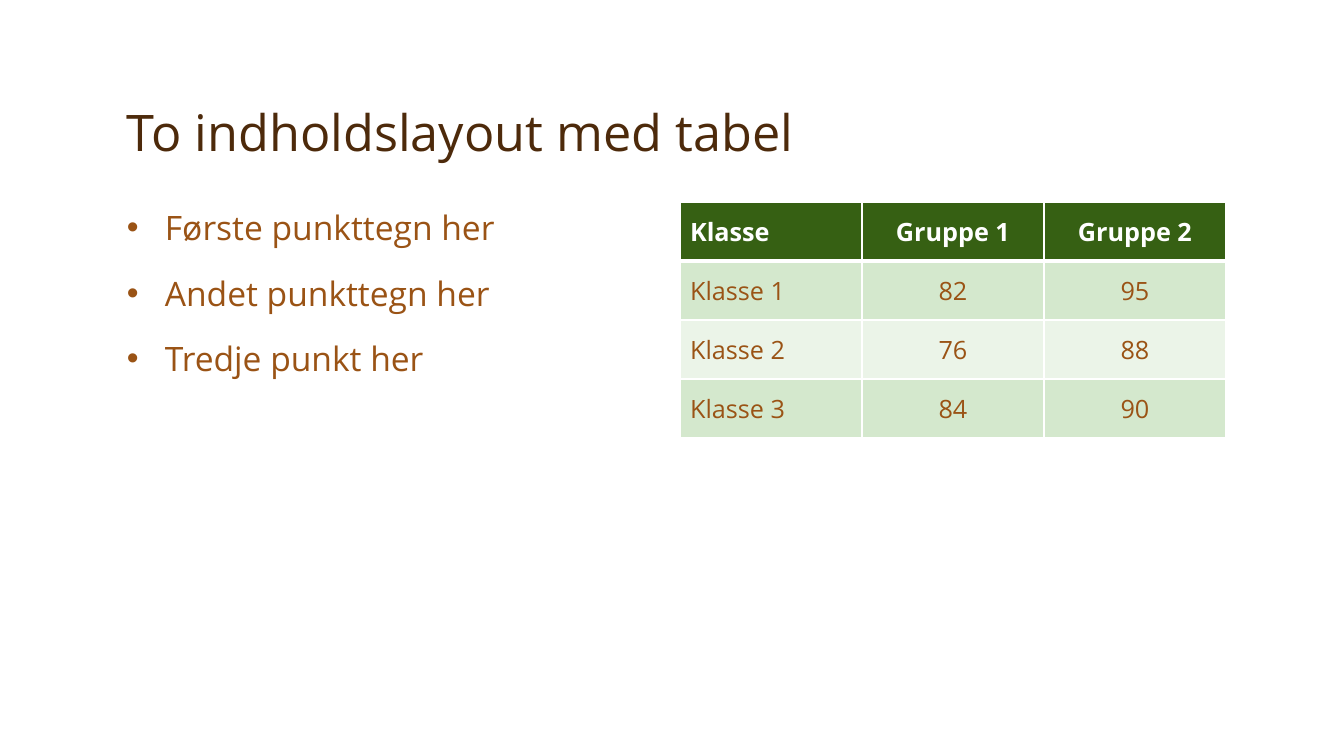
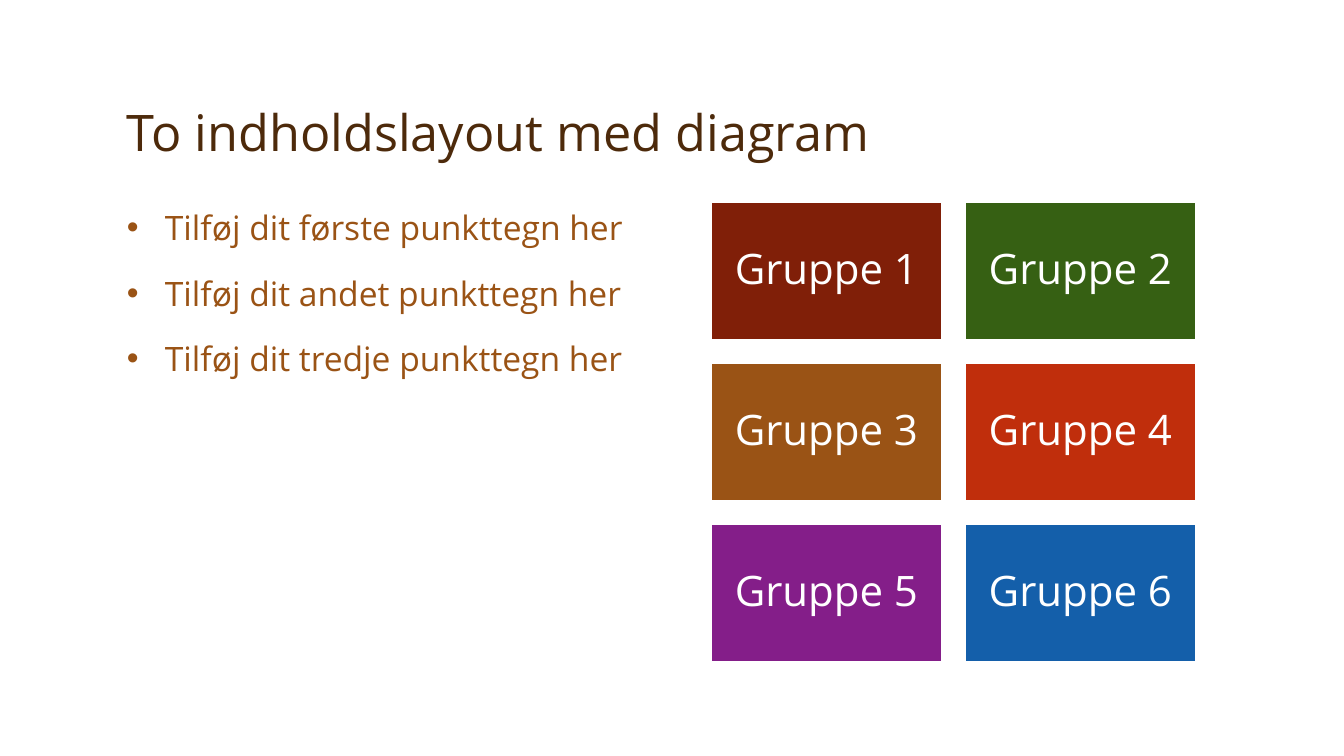
from lxml.etree import SubElement
from pptx import Presentation
from pptx.dml.color import RGBColor
from pptx.enum.shapes import MSO_SHAPE
from pptx.enum.text import MSO_ANCHOR, MSO_AUTO_SIZE, PP_ALIGN
from pptx.oxml.ns import qn
from pptx.util import Emu, Pt

FONT = "Open Sans"
DARK_BROWN, BROWN, GREEN, WHITE = "4D2A0B", "9A5315", "366013", "FFFFFF"
BANDS = ("D4E8CD", "EBF4E8")
TILE_COLORS = ("801F08", GREEN, BROWN, "C02E0C", "841E89", "145FAA")
LEFT, CONTENT_TOP, COLUMN_WIDTH = 117, 202, 546
TABLE_LEFT, ROW_HEIGHT = 680, 59
TILE_LEFT, TILE_WIDTH, TILE_HEIGHT, TILE_GAP, TILE_COLUMNS = 711, 231, 138, 23, 2


def px(pixels):
    """Turn pixels into EMU."""
    return Emu(round(pixels * 914400 / 100.8))


def color(hex_string):
    """Turn a hex string into a colour."""
    return RGBColor.from_string(hex_string)


def style(para, size, hex_string, bold=False, align=PP_ALIGN.LEFT):
    """Align a paragraph and format its runs."""
    para.alignment = align
    for span in para.runs:
        span.font.name = FONT
        span.font.size = Pt(size)
        span.font.bold = bold
        span.font.color.rgb = color(hex_string)


def add_text_box(page, left, top, width, height, text):
    """Add a wrapping text box and return its text frame."""
    frame = page.shapes.add_textbox(px(left), px(top), px(width), px(height)).text_frame
    frame.word_wrap = True
    frame.text = text
    return frame


def add_title(page, text):
    """Add the slide title, resting on the bottom of its box."""
    frame = add_text_box(page, LEFT, 33, 1109, 134, text)
    frame.vertical_anchor = MSO_ANCHOR.BOTTOM
    frame.paragraphs[0].line_spacing = 0.9
    style(frame.paragraphs[0], 36, DARK_BROWN)


def add_bullets(page, items):
    """Add the bulleted list in the left column."""
    frame = add_text_box(page, LEFT, CONTENT_TOP, COLUMN_WIDTH, 462, "\n".join(items))
    frame.auto_size = MSO_AUTO_SIZE.TEXT_TO_FIT_SHAPE
    for para in frame.paragraphs:
        para.space_before = Pt(18)
        style(para, 24, BROWN)
        properties = para._p.get_or_add_pPr()
        properties.set("marL", str(px(38)))
        properties.set("indent", str(-px(38)))
        SubElement(properties, qn("a:buFont"), typeface="Arial")
        SubElement(properties, qn("a:buChar"), char="•")


def add_borders(cell, top, bottom):
    """Draw white cell borders; top and bottom are widths in points."""
    properties = cell._tc.get_or_add_tcPr()
    for side, width in (("L", 1), ("R", 1), ("T", top), ("B", bottom)):
        line = SubElement(properties, qn(f"a:ln{side}"), w=str(Pt(width)))
        SubElement(SubElement(line, qn("a:solidFill")), qn("a:srgbClr"), val=WHITE)


def add_score_table(page, rows):
    """Add a table with a green header and banded rows."""
    table = page.shapes.add_table(
        len(rows), len(rows[0]), px(TABLE_LEFT), px(CONTENT_TOP),
        px(COLUMN_WIDTH), px(ROW_HEIGHT * len(rows))).table
    for row_index, values in enumerate(rows):
        header = row_index == 0
        for column_index, value in enumerate(values):
            cell = table.cell(row_index, column_index)
            cell.text = value
            cell.vertical_anchor = MSO_ANCHOR.MIDDLE
            add_borders(cell, 3 if row_index == 1 else 1, 3 if header else 1)
            cell.fill.solid()
            cell.fill.fore_color.rgb = color(GREEN if header else BANDS[(row_index - 1) % 2])
            style(cell.text_frame.paragraphs[0], 18, WHITE if header else BROWN, header,
                  PP_ALIGN.CENTER if column_index else PP_ALIGN.LEFT)


def add_tile(page, left, top, text, fill):
    """Add one coloured tile with a centred label."""
    tile = page.shapes.add_shape(
        MSO_SHAPE.RECTANGLE, px(left), px(top), px(TILE_WIDTH), px(TILE_HEIGHT))
    tile.shadow.inherit = False
    tile.fill.solid()
    tile.fill.fore_color.rgb = color(fill)
    tile.line.color.rgb = color(WHITE)
    tile.line.width = Pt(1)
    frame = tile.text_frame
    frame.margin_left = frame.margin_right = frame.margin_top = frame.margin_bottom = px(12)
    frame.vertical_anchor = MSO_ANCHOR.MIDDLE
    frame.word_wrap = True
    frame.text = text
    frame.paragraphs[0].line_spacing = 0.9
    style(frame.paragraphs[0], 30, WHITE, align=PP_ALIGN.CENTER)


def add_tile_grid(page):
    """Add the numbered group tiles, row by row."""
    for index, fill in enumerate(TILE_COLORS):
        row, column = divmod(index, TILE_COLUMNS)
        add_tile(page, TILE_LEFT + column * (TILE_WIDTH + TILE_GAP),
                 CONTENT_TOP + row * (TILE_HEIGHT + TILE_GAP), f"Gruppe {index + 1}", fill)


def add_page(deck, title, bullets):
    """Add a blank slide with its title and bullets."""
    page = deck.slides.add_slide(deck.slide_layouts[6])
    add_title(page, title)
    add_bullets(page, bullets)
    return page


def main():
    """Build and save the deck."""
    deck = Presentation()
    deck.slide_width, deck.slide_height = px(1344), px(756)

    table_page = add_page(deck, "To indholdslayout med tabel", (
        "Første punkttegn her", "Andet punkttegn her", "Tredje punkt her"))
    add_score_table(table_page, (
        ("Klasse", "Gruppe 1", "Gruppe 2"),
        ("Klasse 1", "82", "95"),
        ("Klasse 2", "76", "88"),
        ("Klasse 3", "84", "90")))

    tile_page = add_page(deck, "To indholdslayout med diagram", (
        "Tilføj dit første punkttegn her", "Tilføj dit andet punkttegn her",
        "Tilføj dit tredje punkttegn her"))
    add_tile_grid(tile_page)

    deck.save("out.pptx")


main()
